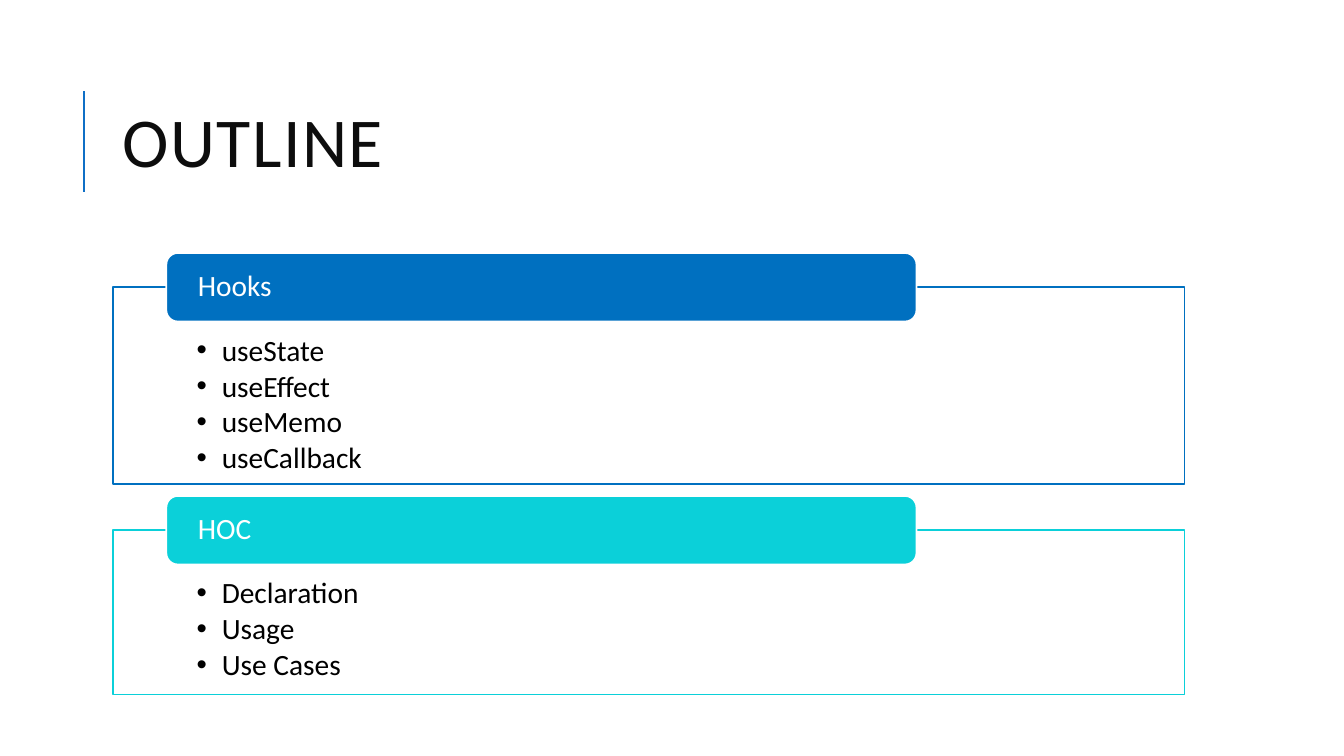
import pptx
import pptx.util
import pptx.dml.color
import pptx.enum.shapes
import pptx.enum.text
import pptx.oxml
import pptx.oxml.ns

Inches = pptx.util.Inches
Pt = pptx.util.Pt
RGBColor = pptx.dml.color.RGBColor
MSO_SHAPE = pptx.enum.shapes.MSO_SHAPE
MSO_ANCHOR = pptx.enum.text.MSO_ANCHOR

WHITE = RGBColor(0xFF, 0xFF, 0xFF)
BLACK = RGBColor(0x00, 0x00, 0x00)
TITLE_INK = RGBColor(0x0D, 0x0D, 0x0D)
ACCENT = RGBColor(0x0F, 0x6F, 0xC6)
BLUE = RGBColor(0x00, 0x70, 0xC0)
TURQUOISE = RGBColor(0x0B, 0xD0, 0xD9)

LEFT, WIDTH = 1.12, 10.63
HEADER_LEFT, HEADER_WIDTH, HEADER_HEIGHT = 1.65, 7.44, 0.68
SECTIONS = [
    ("Hooks", ["useState", "useEffect", "useMemo", "useCallback"], BLUE, 2.85, 1.95),
    ("HOC", ["Declaration", "Usage", "Use Cases"], TURQUOISE, 5.26, 1.63),
]


def add_child(parent, tag, **attributes):
    child = pptx.oxml.parse_xml(f"<a:{tag} {pptx.oxml.ns.nsdecls('a')}/>")
    for name, value in attributes.items():
        child.set(name, value)
    parent.append(child)


def write_text(shape, lines, size, color, insets=(0.1, 0.05, 0.1, 0.05),
               anchor=MSO_ANCHOR.MIDDLE, line_spacing=0.9, space_after=0,
               bullet=None, tracking=None):
    """Fill a shape with one paragraph per line; insets are in inches."""
    frame = shape.text_frame
    frame.word_wrap = True
    frame.vertical_anchor = anchor
    (frame.margin_left, frame.margin_top,
     frame.margin_right, frame.margin_bottom) = map(Inches, insets)
    for index, line in enumerate(lines):
        paragraph = frame.add_paragraph() if index else frame.paragraphs[0]
        paragraph.alignment = pptx.enum.text.PP_ALIGN.LEFT
        paragraph.line_spacing = line_spacing
        paragraph.space_after = Pt(space_after)
        run = paragraph.add_run()
        run.text = line
        run.font.name = Style.font
        run.font.size = Pt(size)
        run.font.color.rgb = color
        if tracking:
            run.font._element.set("spc", str(tracking * 100))
        if bullet:
            paragraph.level = 1
            properties = paragraph._p.get_or_add_pPr()
            properties.set("marL", str(Inches(0.25)))
            properties.set("indent", str(Inches(-0.25)))
            add_child(properties, "buFont", typeface="Arial")
            add_child(properties, "buChar", char=bullet)


class Style:
    font = "Calibri"
    text_size = 21
    title_size = 50
    outline = 1.25

    def __init__(self, slide):
        self.slide = slide

    def rule(self, x, top, bottom):
        line = self.slide.shapes.add_connector(
            pptx.enum.shapes.MSO_CONNECTOR.STRAIGHT,
            Inches(x), Inches(bottom), Inches(x), Inches(top))
        line.line.color.rgb = ACCENT
        line.line.width = Pt(1.5)
        add_child(line._element.spPr, "effectLst")

    def title(self, text):
        box = self.slide.shapes.add_textbox(
            Inches(LEFT), Inches(0.64), Inches(WIDTH), Inches(1.64))
        write_text(box, [text], self.title_size, TITLE_INK,
                   line_spacing=0.8, tracking=1)

    def box(self, kind, left, top, width, height, fill, line):
        shape = self.slide.shapes.add_shape(
            kind, Inches(left), Inches(top), Inches(width), Inches(height))
        shape.shadow.inherit = False
        shape.fill.solid()
        shape.fill.fore_color.rgb = fill
        shape.line.color.rgb = line
        shape.line.width = Pt(self.outline)
        return shape

    def section(self, heading, items, color, top, height):
        """Draw an outlined list with a heading bar centred on its top edge."""
        body = self.box(MSO_SHAPE.RECTANGLE, LEFT, top, WIDTH, height, WHITE, color)
        fill_color = body._element.spPr.find(
            f"{pptx.oxml.ns.qn('a:solidFill')}/{pptx.oxml.ns.qn('a:srgbClr')}")
        add_child(fill_color, "alpha", val="90000")
        write_text(body, items, self.text_size, BLACK, insets=(0.83, 0.48, 0.83, 0.16),
                   anchor=MSO_ANCHOR.TOP, space_after=3, bullet="•")
        header = self.box(MSO_SHAPE.ROUNDED_RECTANGLE, HEADER_LEFT,
                          top - HEADER_HEIGHT / 2, HEADER_WIDTH, HEADER_HEIGHT,
                          color, WHITE)
        write_text(header, [heading], self.text_size, WHITE, insets=(0.28, 0, 0.28, 0))


def main():
    presentation = pptx.Presentation()
    presentation.slide_width = Inches(13.33)
    presentation.slide_height = Inches(7.5)
    style = Style(presentation.slides.add_slide(presentation.slide_layouts[6]))
    style.rule(0.83, 0.9, 1.9)
    style.title("OUTLINE")
    for section in SECTIONS:
        style.section(*section)
    presentation.save("out.pptx")


if __name__ == "__main__":
    main()
